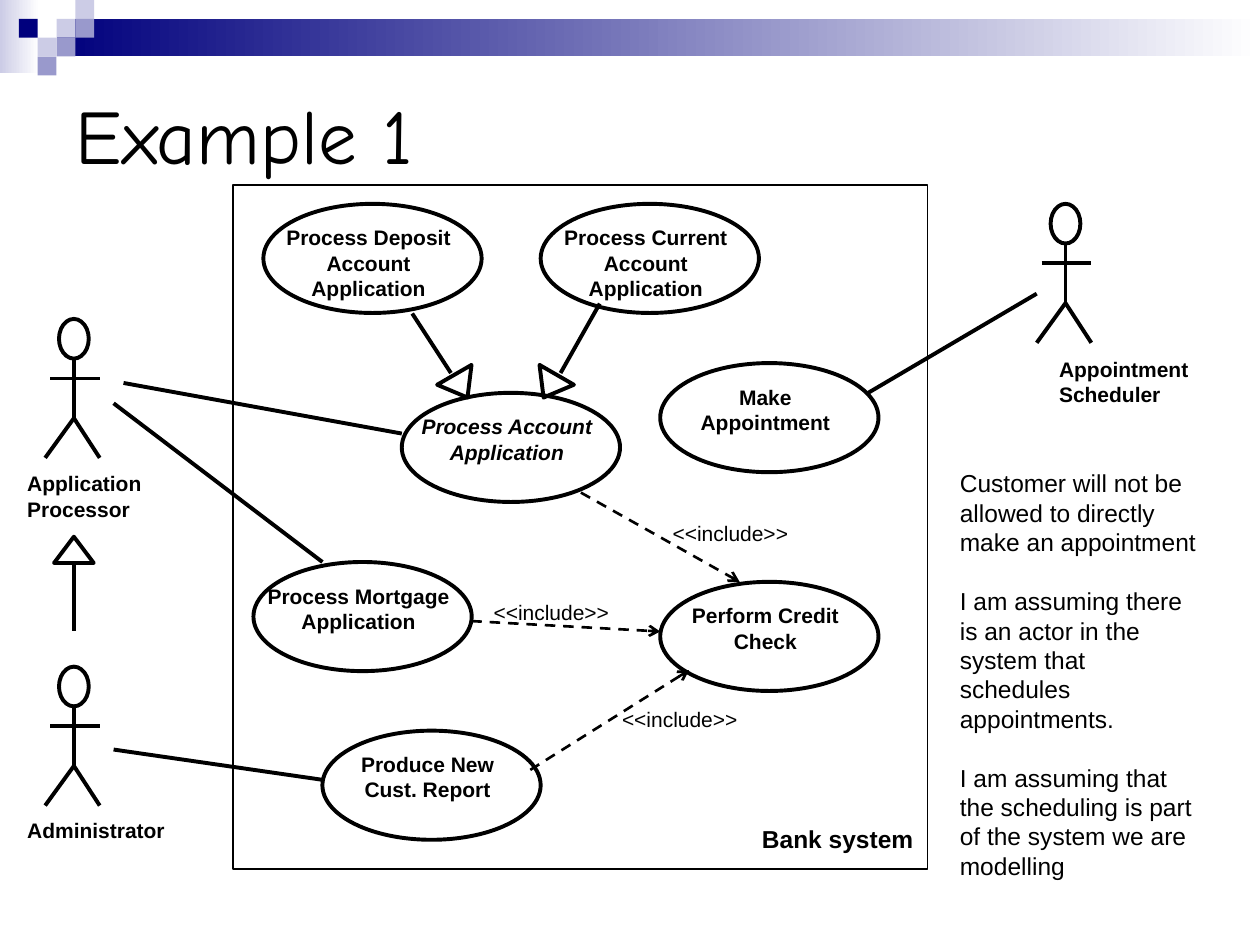
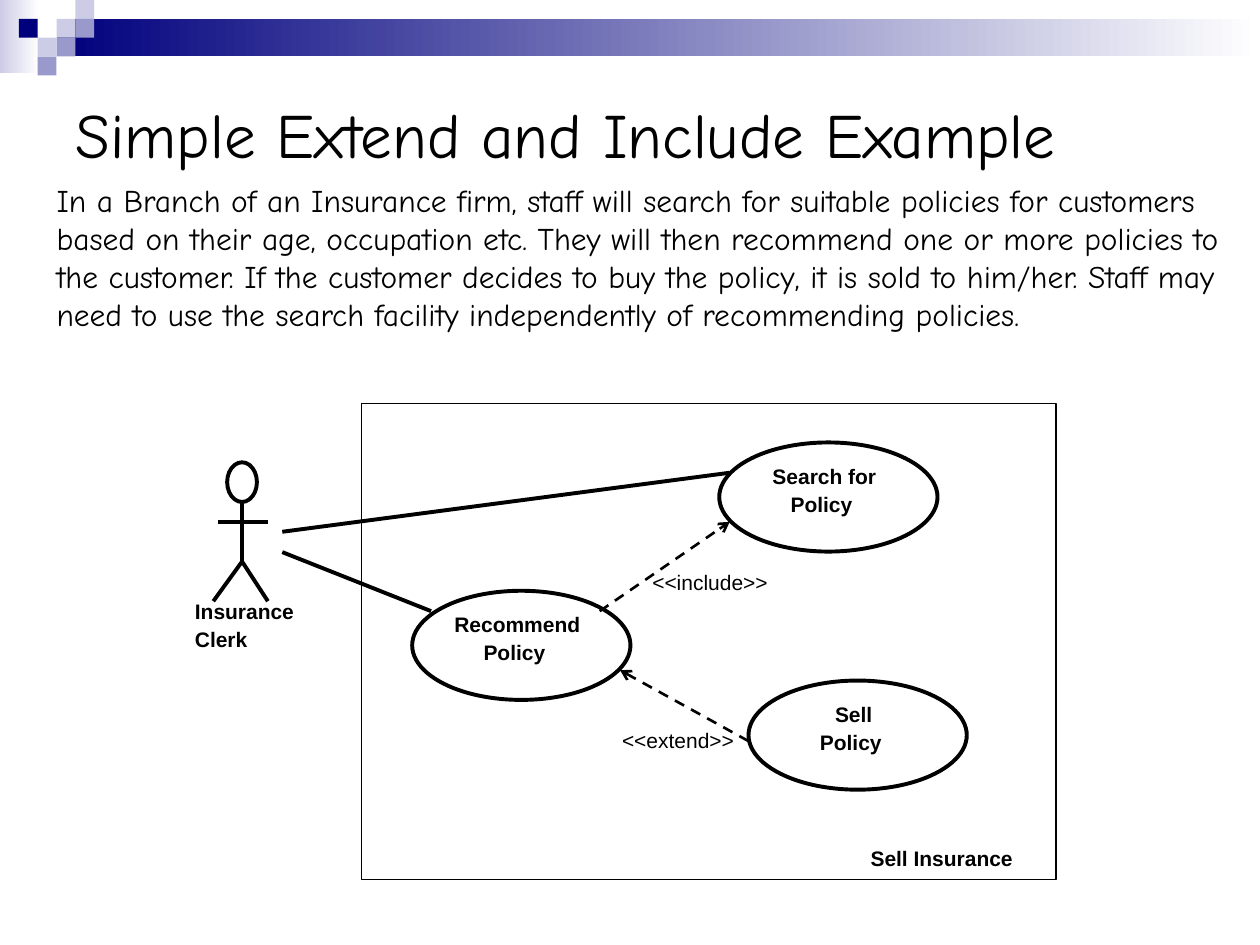
from dataclasses import dataclass

from pptx import Presentation
from pptx import util as u
from pptx.dml.color import RGBColor
from pptx.enum import dml, shapes, text
from pptx.oxml.ns import qn
from lxml import etree


@dataclass(frozen=True)
class Theme:
    ink: str = "000000"
    white: str = "FFFFFF"
    navy: str = "00007D"
    mid: str = "9999CC"
    pale: str = "CCCCE6"
    font: str = "Arial"
    display: str = "Comic Neue"
    label: int = 12
    note: int = 14
    story: int = 18
    thin: float = 0.75
    dashed: float = 1.5
    thick: float = 2.25


T = Theme()
SHAPE = shapes.MSO_SHAPE
CENTER = text.PP_ALIGN.CENTER
CELL = 0.38                     # side of a header square
OVAL_W, OVAL_H = 4.4, 2.2       # size of every use case


def cm(*values):
    return [u.Cm(v) for v in values]


def apply(target, formats):
    for name, value in formats.items():
        setattr(target, name, value)


def style_font(font, **formats):
    apply(font, {"name": T.font, "size": u.Pt(T.label), **formats})
    font.color.rgb = RGBColor.from_string(T.ink)


# Basic elements

def add_outline(parent, kind, x, y, w, h, width=T.thick, rotation=0):
    sp = parent.add_shape(kind, *cm(x, y, w, h))
    sp.shadow.inherit = False
    sp.rotation = rotation
    sp.fill.background()
    sp.line.width = u.Pt(width)
    sp.line.color.rgb = RGBColor.from_string(T.ink)
    return sp


def add_line(parent, x1, y1, x2, y2, dependency=False):
    """Plain association, or a dashed dependency with an open arrow at its end."""
    cn = parent.add_connector(shapes.MSO_CONNECTOR.STRAIGHT, *cm(x1, y1, x2, y2))
    cn.line.color.rgb = RGBColor.from_string(T.ink)
    cn.line.width = u.Pt(T.dashed if dependency else T.thick)
    if dependency:
        cn.line.dash_style = dml.MSO_LINE.DASH
        etree.SubElement(cn.line._get_or_add_ln(), qn("a:tailEnd"), type="arrow")
    etree.SubElement(cn._element.spPr, qn("a:effectLst"))


def add_text(parent, x, y, w, h, paragraphs, align=None, gap=1.5, **formats):
    tf = parent.add_textbox(*cm(x, y, w, h)).text_frame
    tf.word_wrap = True
    for i, words in enumerate(paragraphs):
        p = tf.add_paragraph() if i else tf.paragraphs[0]
        p.alignment = align
        p.space_before = u.Pt(gap if i else 0)
        r = p.add_run()
        r.text = words
        style_font(r.font, **formats)


# Use case diagram parts

def add_use_case(s, x, y, *paragraphs, italic=None):
    g = s.shapes.add_group_shape().shapes
    add_outline(g, SHAPE.OVAL, x, y, OVAL_W, OVAL_H)
    add_text(g, x, y + 0.3, 4.24, 1.3, paragraphs, CENTER, bold=True, italic=italic)


def add_actor(s, x, y):
    g = s.shapes.add_group_shape().shapes
    spine, hand, neck, hip, foot = x + 0.58, x + 1.1, y + 0.8, y + 2, y + 2.8
    add_outline(g, SHAPE.OVAL, x + 0.28, y, 0.6, 0.8)
    for limb in ((spine, neck, spine, hip), (x, foot, spine, hip),
                 (spine, hip, hand, foot), (x + 0.1, y + 1.2, hand, y + 1.2)):
        add_line(g, *limb)


def add_actor_label(s, x, y, w, *paragraphs):
    add_text(s.shapes, x, y, w, 1.27, paragraphs, bold=True)


def add_generalization(s, x, y, rotation, line):
    add_outline(s.shapes, SHAPE.ISOSCELES_TRIANGLE, x, y, 0.8, 0.53, rotation=rotation)
    add_line(s.shapes, *line)


def add_dependency(s, line, label, x, y):
    add_line(s.shapes, *line, dependency=True)
    add_text(s.shapes, x, y, 3.6, 0.76, [label])


def add_boundary(s, x, y, h):
    add_outline(s.shapes, SHAPE.RECTANGLE, x, y, 14, h, width=T.thin)


# Shared layout

def add_block(s, x, y, w, h, *colors):
    sp = s.shapes.add_shape(SHAPE.RECTANGLE, *cm(x, y, w, h))
    sp.shadow.inherit = False
    sp.line.fill.background()
    if len(colors) == 1:
        sp.fill.solid()
        sp.fill.fore_color.rgb = RGBColor.from_string(colors[0])
    else:
        sp.fill.gradient()
        sp.fill.gradient_angle = 0
        for stop, color in zip(sp.fill.gradient_stops, colors):
            stop.color.rgb = RGBColor.from_string(color)
    return sp


def decorate_layout(layout, s):
    """Draw the header on a slide, then move it behind the layout's placeholders."""
    blocks = [add_block(s, 0, 0, 0.79, 1.48, T.pale, T.white),
              add_block(s, 3 * CELL, CELL, 24.26, 2 * CELL, T.navy, T.white)]
    for col, row, color in ((3, 1, T.pale), (4, 0, T.pale), (4, 1, T.mid),
                            (2, 2, T.pale), (1, 1, T.navy), (3, 2, T.mid),
                            (2, 3, T.mid)):
        blocks.append(add_block(s, col * CELL, row * CELL, CELL, CELL, color))
    for i, sp in enumerate(blocks):
        layout.shapes.element.insert(2 + i, sp.element)
    left, top, width, height = cm(1.27, 1.27, 22.86, 2.84)
    apply(layout.placeholders[0],
          {"left": left, "top": top, "width": width, "height": height})


def set_title(s, words, size):
    tf = s.shapes.title.text_frame
    tf.text = words
    tf.vertical_anchor = text.MSO_ANCHOR.MIDDLE
    p = tf.paragraphs[0]
    p.alignment = text.PP_ALIGN.LEFT
    style_font(p.runs[0].font, name=T.display, size=u.Pt(size))


# Slides

def build_bank(s):
    set_title(s, "Example 1", 44)
    add_boundary(s, 4.7, 3.73, 13.79)
    add_text(s.shapes, 15.11, 16.48, 3.81, 0.86, ["Bank system"],
             bold=True, size=u.Pt(T.note))

    # Use cases
    add_use_case(s, 8.1, 7.92, "Process Account Application", italic=True)
    for x, y, name in ((5.31, 4.11, "Process Deposit Account Application"),
                       (10.9, 4.11, "Process Current Account Application"),
                       (13.31, 7.32, "Make Appointment"),
                       (5.11, 11.33, "Process Mortgage Application"),
                       (13.31, 11.73, "Perform Credit Check"),
                       (6.5, 14.73, "Produce New Cust. Report")):
        add_use_case(s, x, y, name)

    # Actors and their associations
    for x, y in ((0.91, 6.43), (0.91, 13.44), (20.9, 4.11)):
        add_actor(s, x, y)
    add_actor_label(s, 0.3, 9.37, 3, "Application Processor")
    add_actor_label(s, 0.3, 16.36, 3.4, "Administrator")
    add_actor_label(s, 21.1, 7.06, 3.4, "Appointment Scheduler")
    for line in ((17.5, 7.92, 20.9, 5.92), (2.29, 15.11, 6.5, 15.72),
                 (2.29, 8.13, 6.5, 11.33), (2.49, 7.72, 8.1, 8.74)):
        add_line(s.shapes, *line)

    # Generalizations and dependencies
    add_generalization(s, 1.09, 10.82, 0, (1.5, 11.33, 1.5, 12.73))
    add_generalization(s, 8.89, 7.52, 150, (8.31, 6.32, 9.09, 7.52))
    add_generalization(s, 10.69, 7.52, 210, (12.09, 6.12, 11.3, 7.52))
    for line, x, y in (((10.69, 15.52, 13.89, 13.51), 12.29, 14.12),
                       ((9.5, 12.52, 13.31, 12.73), 9.7, 11.96),
                       ((11.71, 9.93, 14.91, 11.73), 13.31, 10.36)):
        add_dependency(s, line, "<<include>>", x, y)

    # Assumptions
    add_text(s.shapes, 19.1, 9.32, 5.3, 8.56, [
        "Customer will not be allowed to directly make an appointment",
        "I am assuming there is an actor in the system that schedules appointments.",
        "I am assuming that the scheduling is part of the system we are modelling",
    ], gap=16.8, size=u.Pt(T.note))


def build_insurance(s):
    set_title(s, "Simple Extend and Include Example", 36)
    add_text(s.shapes, 0.89, 3.53, 24.51, 3.3, [
        "In a Branch of an Insurance firm, staff will search for suitable policies "
        "for customers based on their age, occupation etc. They will then recommend "
        "one or more policies to the customer. If the customer decides to buy the "
        "policy, it is sold to him/her. Staff may need to use the search facility "
        "independently of recommending policies.",
    ], name=T.display, size=u.Pt(T.story))
    add_boundary(s, 7.29, 8.13, 9.6)
    add_text(s.shapes, 17.3, 16.92, 3.99, 0.76, ["Sell Insurance"], bold=True)

    # Use cases
    for x, y, verb in ((14.5, 8.92, "Search for"), (8.31, 11.91, "Recommend"),
                       (15.09, 13.72, "Sell")):
        add_use_case(s, x, y, verb, "Policy ")

    # Actor and its associations
    add_actor(s, 4.3, 9.32)
    add_actor_label(s, 3.68, 11.94, 3, "Insurance", "Clerk")
    add_line(s.shapes, 5.69, 10.72, 14.71, 9.53)
    add_line(s.shapes, 5.69, 11.13, 8.69, 12.32)

    # Dependencies
    add_dependency(s, (12.09, 12.32, 14.71, 10.52), "<<include>>", 12.9, 11.35)
    add_dependency(s, (15.09, 14.94, 12.5, 13.51), "<<extend>>", 12.29, 14.55)


def main():
    prs = Presentation()
    prs.slide_width, prs.slide_height = cm(25.4, 19.05)
    layout = prs.slide_layouts[5]
    bank, insurance = [prs.slides.add_slide(layout) for _ in range(2)]
    decorate_layout(layout, bank)
    build_bank(bank)
    build_insurance(insurance)
    prs.save("out.pptx")


if __name__ == "__main__":
    main()
